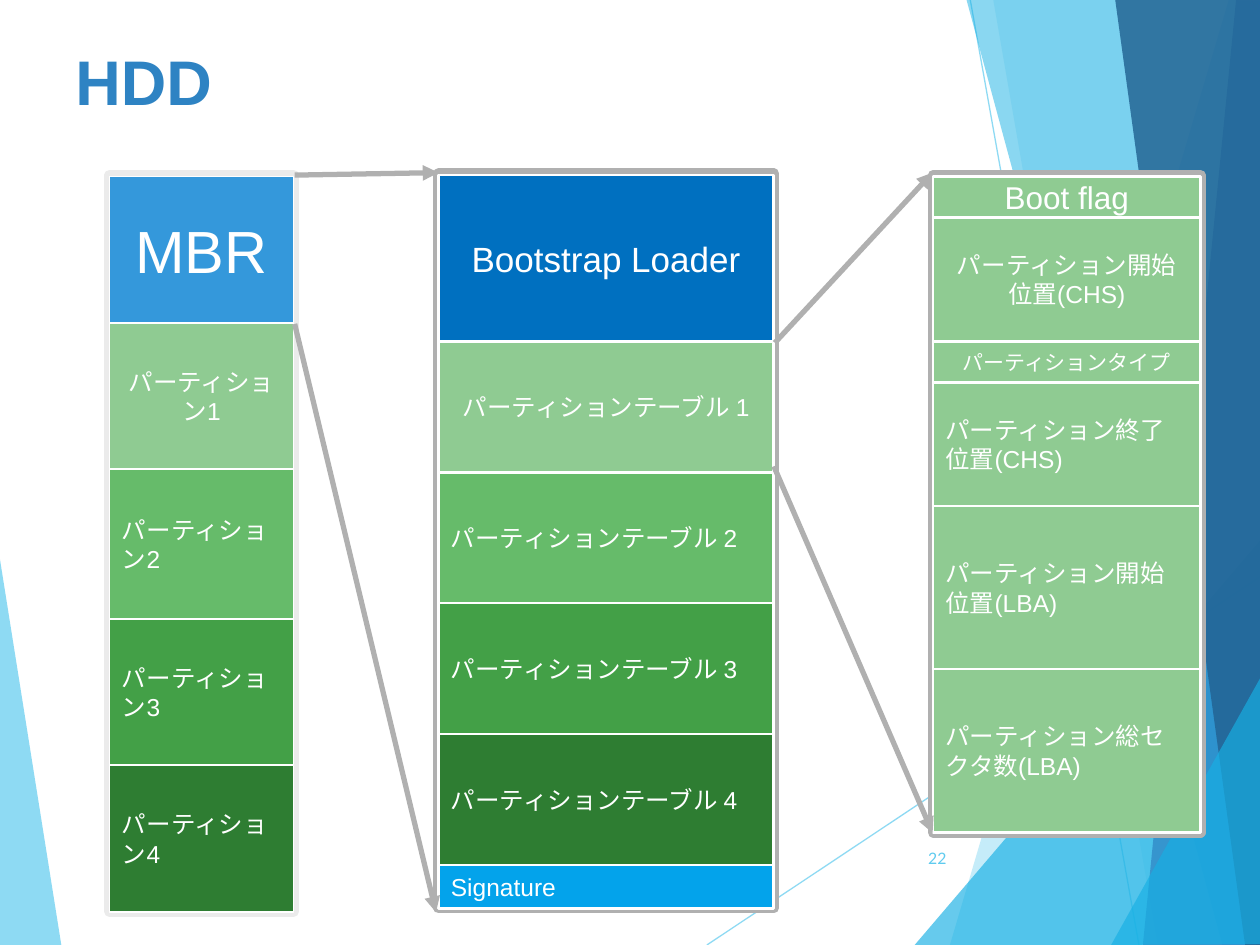
"""Build the slide that breaks a hard disk down into its MBR and partition table."""
from lxml import etree
from pptx import Presentation
from pptx.dml.color import RGBColor
from pptx.enum.shapes import MSO_CONNECTOR, MSO_SHAPE
from pptx.enum.text import MSO_ANCHOR, PP_ALIGN
from pptx.oxml.ns import qn
from pptx.util import Cm, Pt

STRAIGHT = MSO_CONNECTOR.STRAIGHT
RECTANGLE = MSO_SHAPE.RECTANGLE
TOP, MIDDLE = MSO_ANCHOR.TOP, MSO_ANCHOR.MIDDLE
LEFT, CENTER, RIGHT = PP_ALIGN.LEFT, PP_ALIGN.CENTER, PP_ALIGN.RIGHT

COLORS = {
    "white": "FFFFFF", "paper": "FBFBFB", "pale": "EBEBEB", "gray": "B0B0B0",
    "title": "2E83C3", "sky": "5FCBEF", "cyan": "17B0E4", "navy": "226292",
    "mbr": "3498DB", "loader": "0070C0", "signature": "03A3EB",
    "green1": "8FCB92", "green2": "66BB6A", "green3": "43A047", "green4": "2E7D32",
}
GREENS = ["green1", "green2", "green3", "green4"]
ALIGNS = [CENTER, LEFT, LEFT, LEFT]
PARTITION_HEIGHTS = [2.95, 3.02, 2.95, 2.95]
FRAME_RISE = 0.03

DECOR_LINES = [((14.25, 19.05), (25.43, 11.61)), ((19.56, 0), (22.96, 19.05))]
DECOR_PANELS = [
    ("sky", 70, [(-0.02, 11.15), (1.24, 19.07), (-0.02, 19.05)]),
    ("sky", 36, [(24.77, 0), (19.15, 19.05), (25.45, 19.07), (25.43, 0.02)]),
    ("sky", 20, [(20.02, -0.02), (23.34, 19.05), (25.43, 19.05), (25.43, -0.02)]),
    ("cyan", 66, [(18.44, 19.05), (25.4, 10.9), (25.43, 19.05)]),
    ("cyan", 50, [(19.48, -0.02), (24.64, 19.05), (25.43, 19.03), (25.43, -0.02)]),
    ("title", 70, [(24.92, -0.02), (23.04, 19.05), (25.43, 19.05), (25.4, -0.02)]),
    ("navy", 82, [(22.48, -0.02), (25.1, 19.05), (25.45, 19.05), (25.4, -0.02)]),
    ("cyan", 66, [(22.4, 19.05), (25.45, 13.59), (25.45, 19.03)]),
]

DISK = [(2.95, "MBR", "mbr", 34, CENTER)] + [
    (height, f"パーティション{number}", green, 14, align)
    for number, (height, green, align)
    in enumerate(zip(PARTITION_HEIGHTS, GREENS, ALIGNS), 1)
]
BOOT_RECORD = [
    (3.35, "Bootstrap Loader", "loader", 20, CENTER),
    *[(2.64, f"パーティションテーブル {number}", green, 14, align)
      for number, (green, align) in enumerate(zip(GREENS, ALIGNS), 1)],
    (0.87, "Signature", "signature", 14, LEFT),
]
TABLE_ENTRY = [
    (0.83, "Boot flag", "green1", 18, CENTER),
    (2.49, "パーティション開始位置(CHS)", "green1", 14, CENTER),
    (0.83, "パーティションタイプ", "green1", 12, CENTER),
    (2.49, "パーティション終了位置(CHS)", "green1", 14, LEFT),
    (3.29, "パーティション開始位置(LBA)", "green1", 14, LEFT),
    (3.29, "パーティション総セクタ数(LBA)", "green1", 14, LEFT),
]
COLUMNS = [
    (2.21, 3.56, 3.71, "pale", 1, DISK),
    (18.81, 3.56, 5.39, "gray", 1.5, TABLE_ENTRY),
    (8.84, 3.53, 6.76, "gray", 1.5, BOOT_RECORD),
]
ARROWS = [
    ((5.94, 3.53), (8.84, 3.48)), ((5.94, 6.53), (8.79, 18.39)),
    ((15.62, 6.91), (18.8, 3.48)), ((15.6, 9.4), (18.8, 16.79)),
]


def rgb(name):
    """Return the named colour."""
    return RGBColor.from_string(COLORS[name])


def set_alpha(element, percent):
    """Make the first solid colour inside an element partly transparent."""
    color = next(element.iter(qn("a:srgbClr")))
    etree.SubElement(color, qn("a:alpha"), val=str(percent * 1000))


def write_text(shape, text, size, color, align, anchor=MIDDLE, font="Arial", bold=False):
    """Put one formatted paragraph in a shape."""
    frame = shape.text_frame
    frame.word_wrap = True
    frame.vertical_anchor = anchor
    para = frame.paragraphs[0]
    para.alignment = align
    span = para.add_run()
    span.text = text
    for name, value in {"name": font, "size": Pt(size), "bold": bold}.items():
        setattr(span.font, name, value)
    span.font.color.rgb = rgb(color)


def add_text(page, bounds, *text_format, **options):
    """Add a text box."""
    box = page.shapes.add_textbox(*map(Cm, bounds))
    write_text(box, *text_format, **options)


def add_box(page, bounds, fill, line, weight):
    """Add a filled and outlined rectangle."""
    box = page.shapes.add_shape(RECTANGLE, *map(Cm, bounds))
    box.shadow.inherit = False
    box.fill.solid()
    box.fill.fore_color.rgb = rgb(fill)
    box.line.color.rgb = rgb(line)
    box.line.width = Pt(weight)
    return box


def add_panel(page, color, opacity, points):
    """Add a translucent polygon without an outline."""
    start, *rest = [tuple(map(Cm, point)) for point in points]
    builder = page.shapes.build_freeform(*start)
    builder.add_line_segments(rest, close=True)
    panel = builder.convert_to_shape()
    panel.shadow.inherit = False
    panel.fill.solid()
    panel.fill.fore_color.rgb = rgb(color)
    panel.line.fill.background()
    set_alpha(panel.fill._xPr, opacity)


def add_line(page, start, end, color, weight):
    """Add a straight line without a shadow."""
    line = page.shapes.add_connector(STRAIGHT, *map(Cm, start + end))
    line.line.color.rgb = rgb(color)
    line.line.width = Pt(weight)
    etree.SubElement(line._element.spPr, qn("a:effectLst"))
    return line


def add_arrow(page, start, end):
    """Add a gray line with a triangular head at its end."""
    arrow = add_line(page, start, end, "gray", 3)
    etree.SubElement(arrow.line._get_or_add_ln(), qn("a:tailEnd"), type="triangle")


def add_column(page, left, top, width, frame, weight, rows):
    """Add a framed stack of labelled blocks."""
    total = sum(row[0] for row in rows)
    add_box(page, (left, top - FRAME_RISE, width, total + FRAME_RISE), "paper", frame, 6)
    for height, text, fill, size, align in rows:
        block = add_box(page, (left, top, width, height), fill, "white", weight)
        write_text(block, text, size, "white", align)
        top += height


def add_background(page):
    """Add the thin lines and the translucent panels at the slide's edges."""
    add_panel(page, *DECOR_PANELS[0])
    for start, end in DECOR_LINES:
        line = add_line(page, start, end, "sky", 0.75)
        set_alpha(line.line._get_or_add_ln(), 70)
    for panel in DECOR_PANELS[1:]:
        add_panel(page, *panel)


def main():
    """Build and save the slide."""
    deck = Presentation()
    deck.slide_width, deck.slide_height = Cm(25.4), Cm(19.05)
    page = deck.slides.add_slide(deck.slide_layouts[6])
    add_background(page)
    add_text(page, (1.27, 0.74, 17.63, 3.66), "HDD", 36, "title", LEFT, anchor=TOP, bold=True)
    for column in COLUMNS:
        add_column(page, *column)
    for start, end in ARROWS:
        add_arrow(page, start, end)
    add_text(page, (17.91, 16.79, 1.42, 1.02), "22", 9, "sky", RIGHT, font="Lato")
    deck.save("out.pptx")


if __name__ == "__main__":
    main()
